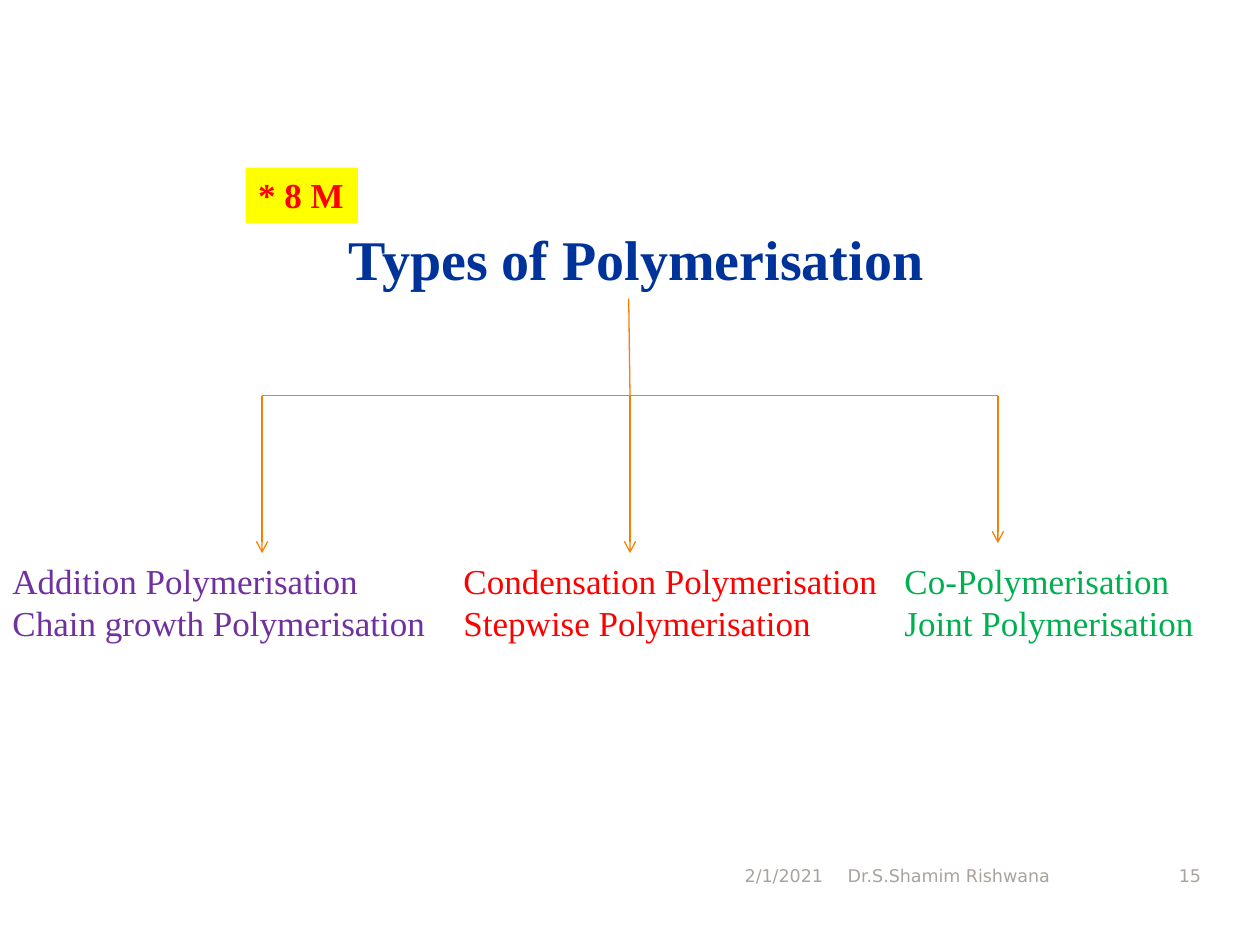
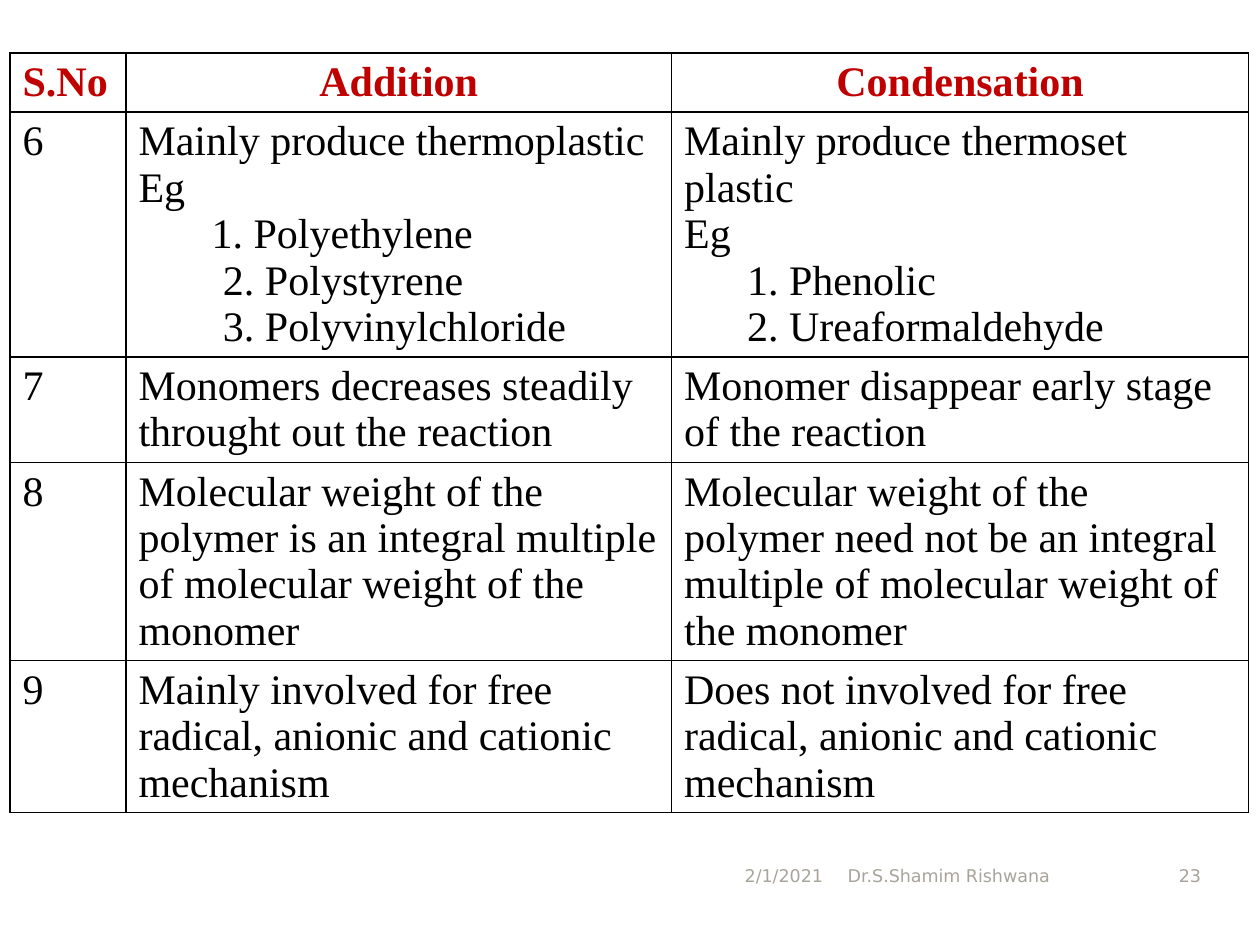
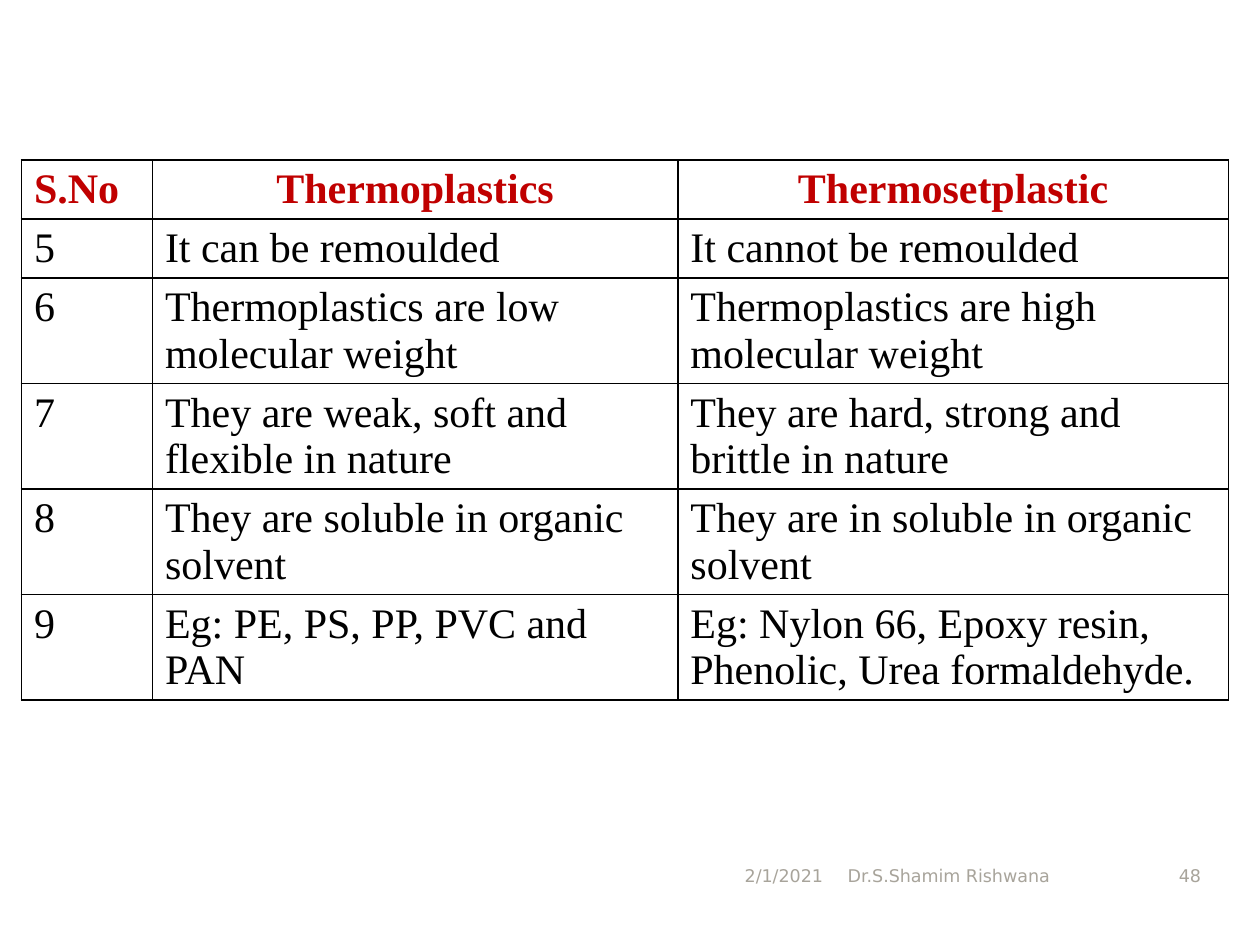
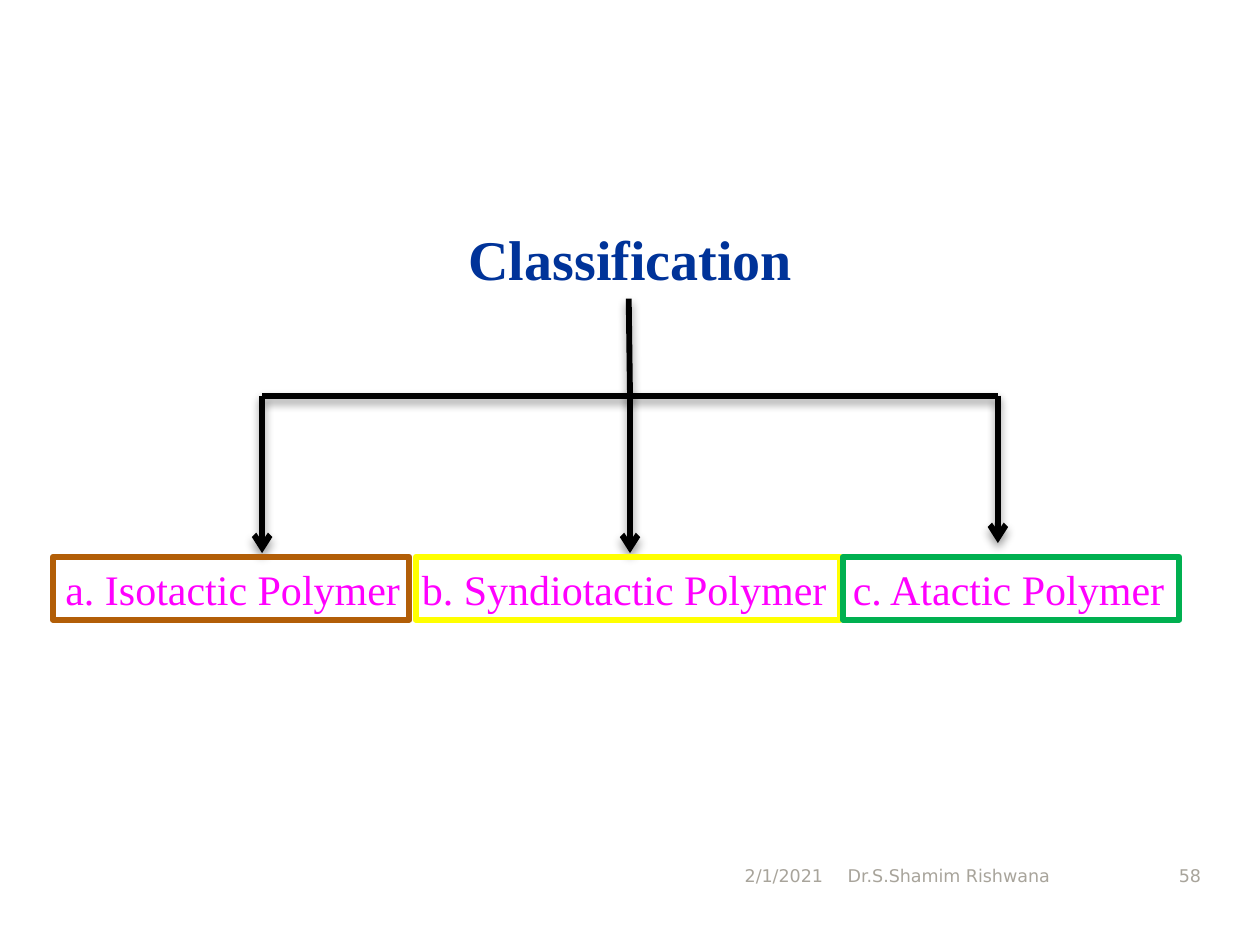
from lxml import etree
from pptx import Presentation
from pptx.dml.color import RGBColor
from pptx.enum.shapes import MSO_CONNECTOR, MSO_SHAPE
from pptx.enum.text import MSO_ANCHOR, PP_ALIGN
from pptx.oxml import parse_xml
from pptx.oxml.ns import qn
from pptx.util import Inches, Pt

LEFT, MID, RIGHT, JUST = PP_ALIGN.LEFT, PP_ALIGN.CENTER, PP_ALIGN.RIGHT, PP_ALIGN.JUSTIFY
TOP, BOTTOM = MSO_ANCHOR.TOP, MSO_ANCHOR.BOTTOM
RECT, LINE = MSO_SHAPE.RECTANGLE, MSO_CONNECTOR.STRAIGHT
SERIF, SANS = "Times New Roman", "DejaVu Sans"
HEX = {
    "title": "003399", "orange": "F97F00", "black": "000000", "white": "FFFFFF",
    "purple": "7030A0", "red": "FF0000", "green": "00B050", "yellow": "FFFF00",
    "brown": "B25E07", "pink": "FF00FF", "head": "C00000", "foot": "A8A49B",
}
RGB = {name: RGBColor.from_string(code) for name, code in HEX.items()}
DRAW = "http://schemas.openxmlformats.org/drawingml/2006/main"
SHADOW = (f'<a:effectLst xmlns:a="{DRAW}"><a:outerShdw blurRad="{Pt(5.2)}" dist="{Pt(3)}" '
          'dir="5400000" rotWithShape="0"><a:srgbClr val="000000"><a:alpha val="40000"/>'
          '</a:srgbClr></a:outerShdw></a:effectLst>')
PLAIN = f'<a:effectLst xmlns:a="{DRAW}"/>'


def style(frame, text, size, color, bold=False, align=LEFT, font=SERIF):
    """Fill a text frame and format every paragraph alike."""
    frame.text = text
    for par in frame.paragraphs:
        par.alignment = align
        for run in par.runs:
            run.font.name, run.font.size, run.font.bold = font, Pt(size), bold
            run.font.color.rgb = RGB[color]


def label(slide, place, text, size, color, wrap=False, anchor=TOP, **look):
    """Add a text box; place is left, top, width, height in inches."""
    box = slide.shapes.add_textbox(*map(Inches, place))
    box.text_frame.word_wrap = wrap
    box.text_frame.vertical_anchor = anchor
    style(box.text_frame, text, size, color, **look)
    return box


deck = Presentation()
deck.slide_width, deck.slide_height = Inches(10), Inches(7.5)
types, growth, heat, tactic = [deck.slides.add_slide(deck.slide_layouts[6]) for _ in range(4)]

# Trees: a title, a stem, two arms and three arrows
EDGES = [  # start, end, arrow
    ((4.99, 2.37), (5, 3.14), False),
    ((5, 3.14), (2.08, 3.14), False),
    ((5, 3.14), (7.92, 3.14), False),
    ((2.08, 3.14), (2.08, 4.39), True),
    ((7.92, 3.14), (7.92, 4.31), True),
    ((5, 3.14), (5, 4.39), True),
]
TREES = [  # slide, title, left, width, line colour, line width, effect
    (types, "Types of Polymerisation", 2.67, 4.81, "orange", 0.75, PLAIN),
    (tactic, "Classification", 3.62, 2.79, "black", 3.35, SHADOW),
]
for slide, title, left, width, color, weight, effect in TREES:
    label(slide, (left, 1.73, width, 0.64), title, 32, "title", bold=True)
    for start, end, arrow in EDGES:
        edge = slide.shapes.add_connector(LINE, *map(Inches, start + end))
        edge.line.color.rgb = RGB[color]
        edge.line.width = Pt(weight)
        if arrow:
            etree.SubElement(edge.line._ln, qn("a:tailEnd"), type="arrow")
        edge._element.spPr.append(parse_xml(effect))

# Types of polymerisation
KINDS = [  # text, left, width, colour, wrap, align
    ("Addition Polymerisation\nChain growth Polymerisation", 0, 3.58, "purple", True, LEFT),
    ("Condensation Polymerisation\nStepwise Polymerisation", 3.58, 3.51, "red", False, JUST),
    ("Co-Polymerisation\nJoint Polymerisation", 7.08, 2.51, "green", False, JUST),
]
for text, left, width, color, wrap, align in KINDS:
    label(types, (left, 4.39, width, 0.77), text, 20, color, wrap, align=align)
mark = label(types, (1.95, 1.33, 0.89, 0.44), "* 8 M", 20, "red", bold=True)
mark.fill.solid()
mark.fill.fore_color.rgb = RGB["yellow"]

# Classes of polymer, each with a frame
CLASSES = [  # text, text left and width, frame left and width, frame colour
    ("a. Isotactic Polymer", 0.42, 2.88, 0.42, 2.83, "brown"),
    ("b. Syndiotactic Polymer", 3.25, 3.44, 3.3, 3.37, "yellow"),
    ("c. Atactic Polymer", 6.67, 2.69, 6.69, 2.67, "green"),
]
for text, left, width, *_ in CLASSES:
    label(tactic, (left, 4.42, width, 0.5), text, 24, "pink")
for *_, left, width, color in CLASSES:
    frame = tactic.shapes.add_shape(RECT, *map(Inches, (left, 4.42, width, 0.5)))
    frame.shadow.inherit = False
    frame.fill.background()
    frame.line.color.rgb = RGB[color]
    frame.line.width = Pt(3.35)

# Comparison tables
GROWTH = [
    ("S.No", "Addition", "Condensation"),
    ("6", "Mainly produce thermoplastic\nEg\n1. Polyethylene\n2. Polystyrene\n3. Polyvinylchloride",
     "Mainly produce thermoset plastic\nEg\n1. Phenolic\n2. Ureaformaldehyde"),
    ("7", "Monomers decreases steadily throught out the reaction",
     "Monomer disappear early stage of the reaction"),
    ("8", "Molecular weight of the polymer is an integral multiple of molecular weight of the monomer",
     "Molecular weight of the polymer need not be an integral multiple of molecular weight of the monomer"),
    ("9", "Mainly involved for free radical, anionic and cationic mechanism",
     "Does not involved for free radical, anionic and cationic mechanism"),
]
HEAT = [
    ("S.No", "Thermoplastics", "Thermosetplastic"),
    ("5", "It can be remoulded", "It cannot be remoulded"),
    ("6", "Thermoplastics are low molecular weight", "Thermoplastics are high molecular weight"),
    ("7", "They are weak, soft and flexible in nature", "They are hard, strong and brittle in nature"),
    ("8", "They are soluble in organic solvent", "They are in soluble in organic solvent"),
    ("9", "Eg: PE, PS, PP, PVC and PAN", "Eg: Nylon 66, Epoxy resin, Phenolic, Urea formaldehyde."),
]
TABLES = [  # slide, rows, left, top, height, column widths
    (growth, GROWTH, 0.08, 0.42, 6.5, (0.92, 4.33, 4.58)),
    (heat, HEAT, 0.17, 1.27, 4.6, (1.04, 4.17, 4.37)),
]
INDENTS = {(1, 2): 0.58, (1, 3): 0.67, (1, 4): 0.67, (2, 2): 0.5, (2, 3): 0.5}  # column, line
for slide, rows, left, top, height, widths in TABLES:
    place = map(Inches, (left, top, sum(widths), height))
    shape = slide.shapes.add_table(len(rows), len(widths), *place)
    grid = shape.table
    for col, width in zip(grid.columns, widths):
        col.width = Inches(width)
    for r, row in enumerate(rows):
        grid.rows[r].height = Inches(0.41)  # rows grow with their text
        for c, text in enumerate(row):
            cell = grid.cell(r, c)
            head = r == 0
            style(cell.text_frame, text, 24, "head" if head else "black",
                  bold=head, align=MID if head and c else LEFT)
            for n, par in enumerate(cell.text_frame.paragraphs):
                if (c, n) in INDENTS:
                    par._p.get_or_add_pPr().set("marL", str(Inches(INDENTS[c, n])))
            props = cell._tc.get_or_add_tcPr()
            for side in ("lnL", "lnR", "lnT", "lnB"):
                line = etree.SubElement(props, qn("a:" + side), w=str(Pt(1)))
                paint = etree.SubElement(line, qn("a:solidFill"))
                etree.SubElement(paint, qn("a:srgbClr"), val=HEX["black"])
            cell.fill.solid()
            cell.fill.fore_color.rgb = RGB["white"]
    shape.height = Inches(height)

# Footers
for slide, number in zip(deck.slides, (15, 23, 48, 58)):
    for text, left, width, align in [("2/1/2021", 4.13, 2.5, RIGHT),
                                     ("Dr.S.Shamim Rishwana", 6.63, 2.5, LEFT),
                                     (str(number), 9.13, 0.5, RIGHT)]:
        label(slide, (left, 6.68, width, 0.4), text, 10, "foot", True, BOTTOM, align=align, font=SANS)

deck.save("out.pptx")
